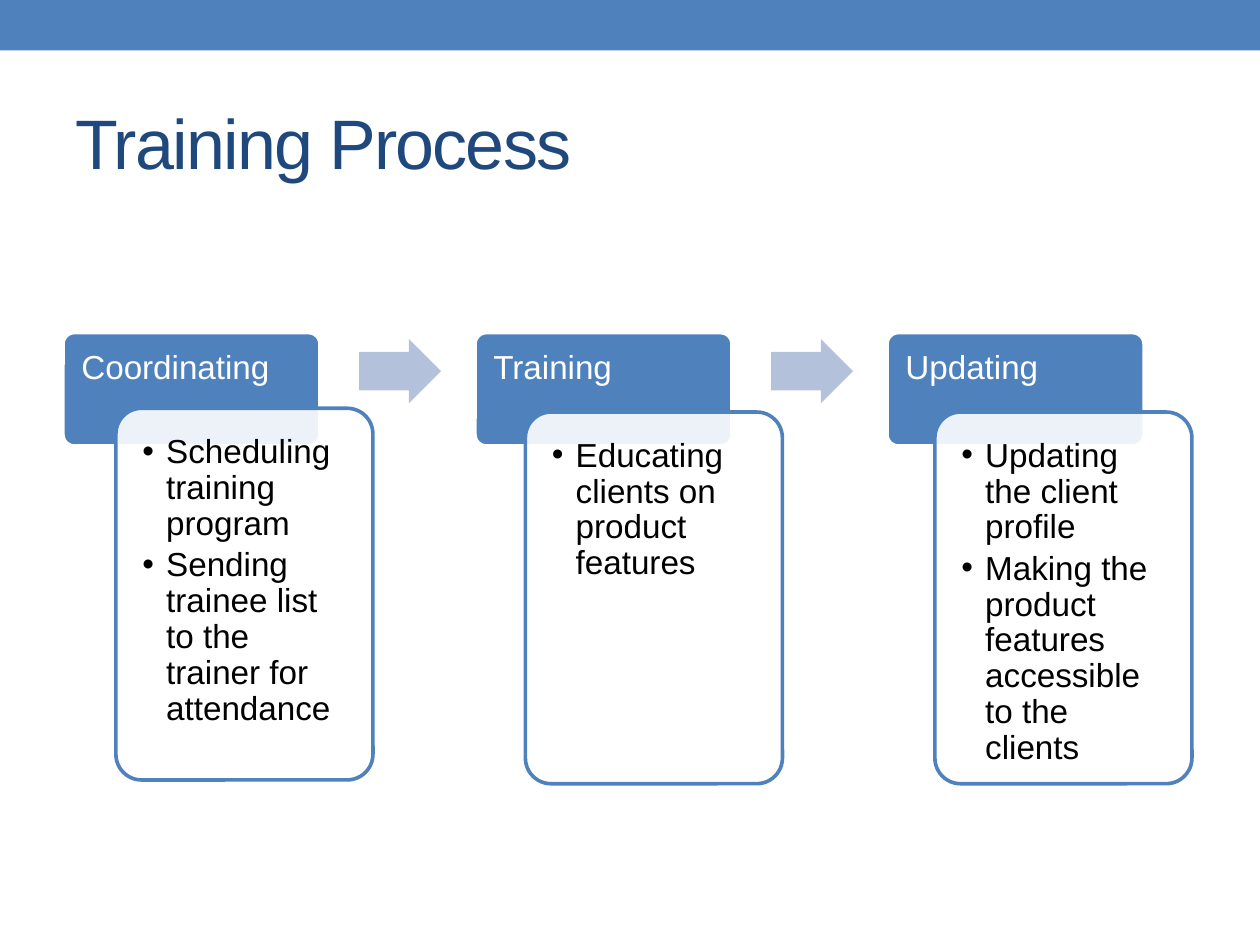
from pptx import Presentation
from pptx.dml.color import RGBColor
from pptx.enum.shapes import MSO_SHAPE as Kind
from pptx.enum.text import MSO_ANCHOR as Anchor, PP_ALIGN as Align
from pptx.oxml.ns import qn
from pptx.util import Inches, Pt
from lxml.etree import SubElement as Sub

TITLE = "Training Process"
STEPS = [
    ("Coordinating", 3.24, ["Scheduling training program",
                            "Sending trainee list to the trainer for attendance"]),
    ("Training", 3.27, ["Educating clients on product features"]),
    ("Updating", 3.27, ["Updating the client profile",
                        "Making the product features accessible to the clients"]),
]
BLUE, NAVY, PALE, WHITE, BLACK = "4F81BD", "1F497D", "B3C1DB", "FFFFFF", "000000"
LEFT, TOP, WIDE, STEP = 0.5, 2.64, 2.04, 3.27
CARD_X, CARD_STEP = 0.92, 3.25
HEAD = dict(size=19, color=WHITE, pad=0.12, after=0)
BODY = dict(size=19, color=BLACK, pad=0.15, after=3, bullet=True)

deck = Presentation()
deck.slide_width, deck.slide_height = Inches(10), Inches(7.5)
slide = deck.slides.add_slide(deck.slide_layouts[6])


def tint(hue):
    return RGBColor.from_string(hue)


def draw(kind, box, fill, line=None, adj=()):
    shape = slide.shapes.add_shape(kind, *map(Inches, box))
    shape.shadow.inherit = False
    shape.fill.solid()
    shape.fill.fore_color.rgb = tint(fill)
    if line:
        shape.line.color.rgb = tint(line)
        shape.line.width = Pt(2.08)
    else:
        shape.line.fill.background()
    for i, value in enumerate(adj):
        shape.adjustments[i] = value
    return shape


def write(shape, lines, size, color, pad, after, bullet=False,
          space=0.9, anchor=Anchor.TOP):
    frame = shape.text_frame
    form = dict(word_wrap=True, vertical_anchor=anchor)
    form.update({f"margin_{side}": Inches(pad)
                 for side in ("left", "right", "top", "bottom")})
    for name, value in form.items():
        setattr(frame, name, value)
    frame.text = "\n".join(lines)
    for para in frame.paragraphs:
        look = dict(alignment=Align.LEFT, line_spacing=space, space_after=Pt(after))
        for name, value in look.items():
            setattr(para, name, value)
        font = para.runs[0].font
        for name, value in dict(name="Arial", size=Pt(size)).items():
            setattr(font, name, value)
        font.color.rgb = tint(color)
        if bullet:
            props = para._p.get_or_add_pPr()
            props.set("marL", str(Inches(0.19)))
            props.set("indent", str(-Inches(0.19)))
            Sub(props, qn("a:buFont")).set("typeface", "Arial")
            Sub(props, qn("a:buChar")).set("char", "•")


draw(Kind.RECTANGLE, (0, 0, 10, 0.4), BLUE)
title = slide.shapes.add_textbox(*map(Inches, (0.5, 0.58, 9, 1.08)))
write(title, [TITLE], 40, NAVY, 0.1, 0, space=1.0, anchor=Anchor.MIDDLE)
title.text_frame.paragraphs[0].runs[0].font._element.set("spc", "-100")

for i, (name, top, points) in enumerate(STEPS):
    x = LEFT + i * STEP
    head = draw(Kind.ROUNDED_RECTANGLE, (x, TOP, WIDE, 0.9), BLUE, WHITE, [0.1])
    write(head, [name], **HEAD)
    card = draw(Kind.ROUNDED_RECTANGLE, (CARD_X + i * CARD_STEP, top, WIDE, 2.95),
                WHITE, BLUE, [0.1])
    solid = card.fill._xPr.find(qn("a:solidFill"))
    Sub(solid[0], qn("a:alpha")).set("val", "90000")
    write(card, points, **BODY)
    if i < len(STEPS) - 1:
        draw(Kind.RIGHT_ARROW, (x + 2.35, 2.69, 0.65, 0.51), PALE, adj=[0.6, 0.5])

deck.save("out.pptx")
